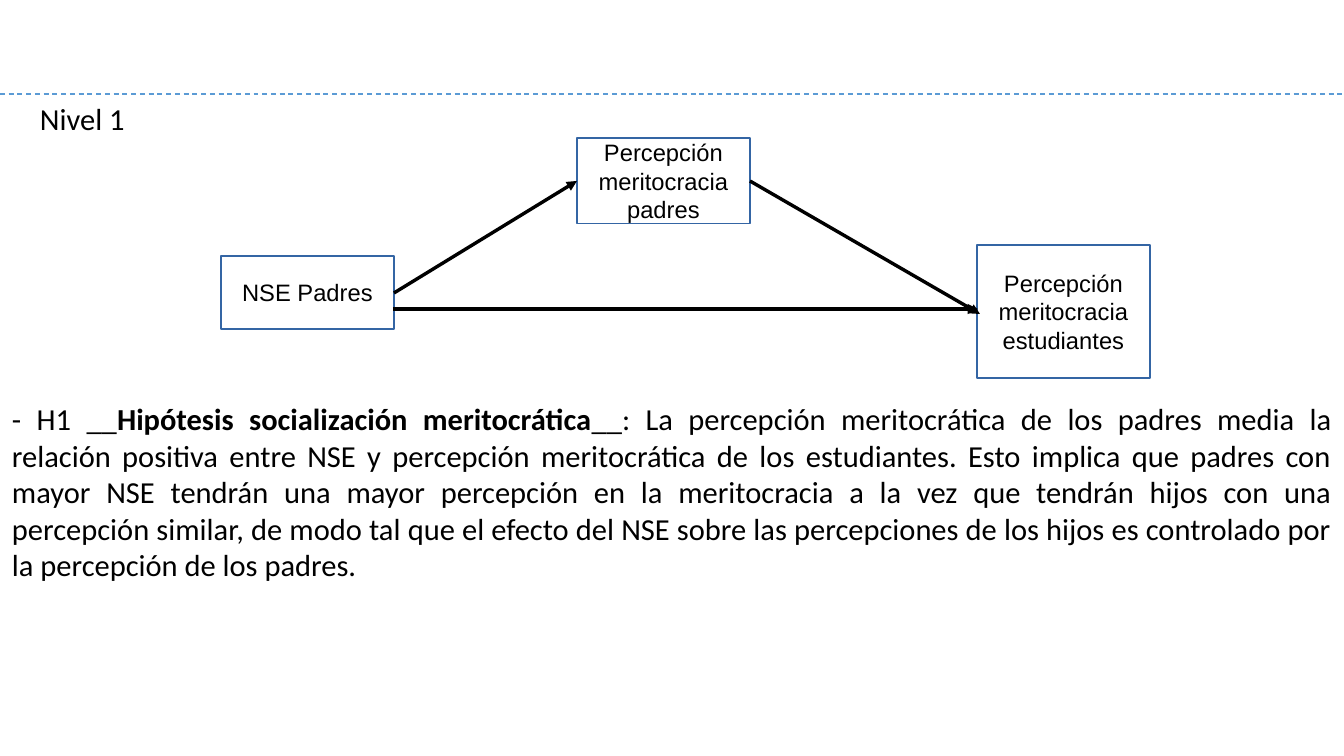
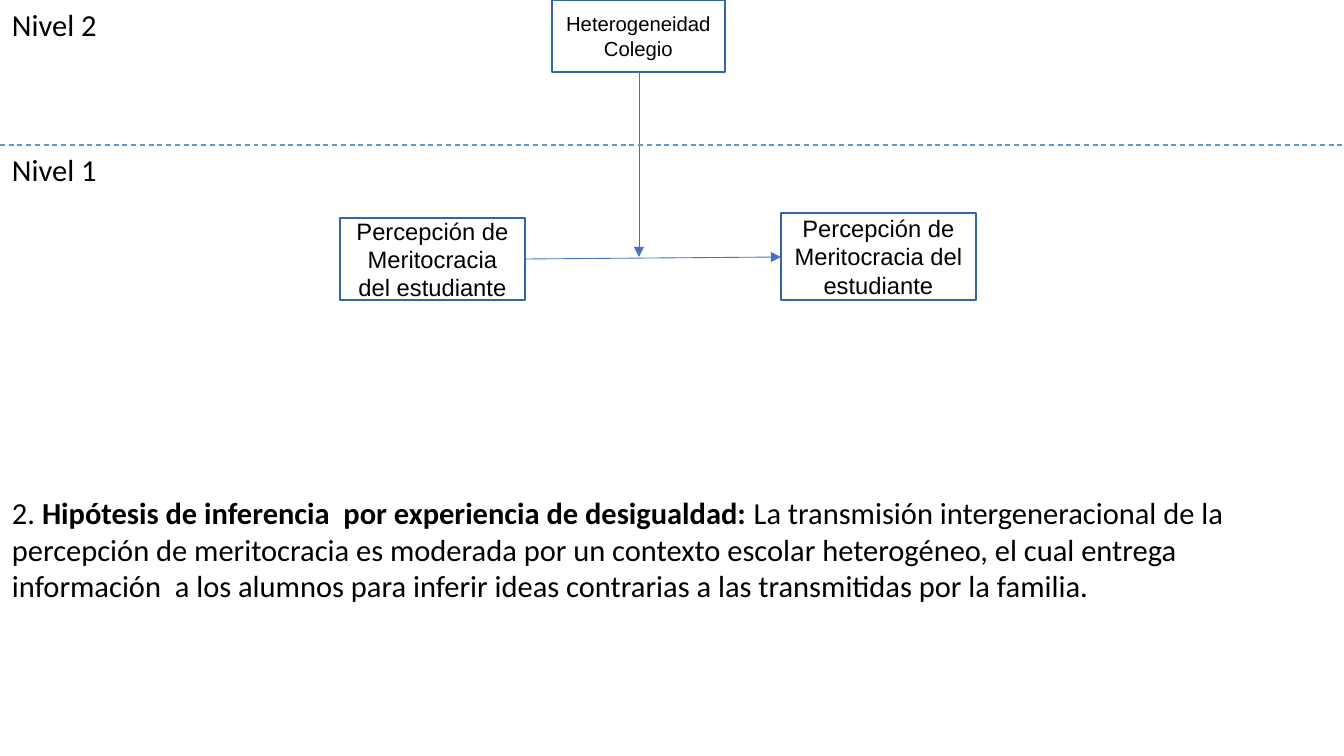
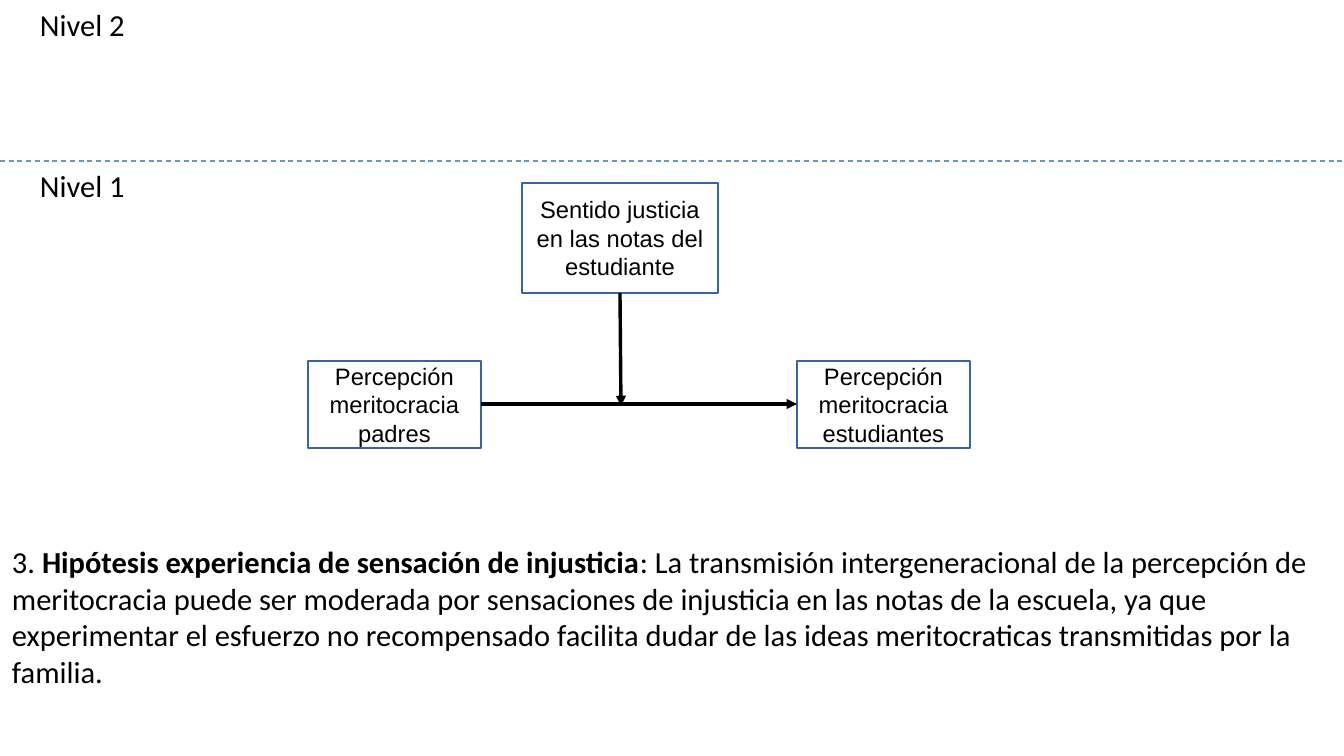
from lxml import etree
from pptx import Presentation
from pptx.dml.color import RGBColor
from pptx.enum.dml import MSO_LINE
from pptx.enum.shapes import MSO_CONNECTOR, MSO_SHAPE
from pptx.enum.text import MSO_ANCHOR, PP_ALIGN
from pptx.oxml.ns import qn
from pptx.util import Emu, Pt

RECTANGLE = MSO_SHAPE.RECTANGLE
STRAIGHT = MSO_CONNECTOR.STRAIGHT
DASH = MSO_LINE.DASH
MIDDLE = MSO_ANCHOR.MIDDLE
LEFT, CENTER, JUSTIFY = PP_ALIGN.LEFT, PP_ALIGN.CENTER, PP_ALIGN.JUSTIFY

PX_PER_INCH = 122
SLIDE_WIDTH, SLIDE_HEIGHT = 1344, 756
BLANK_LAYOUT = 6

BLACK, WHITE = "000000", "FFFFFF"
BOX_LINE, DIVIDER_LINE, ACCENT_LINE = "3465A4", "5B9BD5", "4472C4"
BODY_FONT, BOX_FONT = "Calibri", "Arial"
BODY_SIZE, BOX_SIZE = 18, 14
LABEL_WIDTH, LABEL_HEIGHT = 110, 49


def px(value):
    return Emu(round(value * 914400 / PX_PER_INCH))


def color(value):
    return RGBColor.from_string(value)


def add_run(paragraph, text, font, size, bold=False):
    run = paragraph.add_run()
    run.text = text
    run.font.name = font
    run.font.size = Pt(size)
    run.font.bold = bold
    run.font.color.rgb = color(BLACK)


def add_text(slide, box, runs, alignment=LEFT, wrap=True):
    shape = slide.shapes.add_textbox(*map(px, box))
    shape.text_frame.word_wrap = wrap
    paragraph = shape.text_frame.paragraphs[0]
    paragraph.alignment = alignment
    for text, bold in runs:
        add_run(paragraph, text, BODY_FONT, BODY_SIZE, bold)


def add_line(slide, start, end, line_color, width):
    connector = slide.shapes.add_connector(STRAIGHT, *map(px, start + end))
    connector.line.color.rgb = color(line_color)
    connector.line.width = Pt(width)
    etree.SubElement(connector._element.spPr, qn("a:effectLst"))
    return connector


def add_arrow(slide, start, end, line_color, width):
    connector = add_line(slide, start, end, line_color, width)
    tail = etree.SubElement(connector.line._get_or_add_ln(), qn("a:tailEnd"))
    tail.set("type", "triangle")


def add_variable(slide, box, text, size):
    shape = slide.shapes.add_shape(RECTANGLE, *map(px, box))
    shape.shadow.inherit = False
    shape.fill.solid()
    shape.fill.fore_color.rgb = color(WHITE)
    shape.line.color.rgb = color(BOX_LINE)
    shape.line.width = Pt(0)
    frame = shape.text_frame
    frame.word_wrap = True
    frame.vertical_anchor = MIDDLE
    paragraph = frame.paragraphs[0]
    paragraph.alignment = CENTER
    add_run(paragraph, text, BOX_FONT, size)


def add_levels(slide, divider_top, label_left, labels):
    divider = add_line(slide, (0, divider_top), (SLIDE_WIDTH, divider_top), DIVIDER_LINE, 0.75)
    divider.line.dash_style = DASH
    for text, top in labels:
        box = (label_left, top, LABEL_WIDTH, LABEL_HEIGHT)
        add_text(slide, box, [(text, False)], wrap=False)


def add_diagram(slide, origin, variables, arrows, line_color=BLACK, line_width=0):
    left, top = origin
    for (x, y, width, height), text, size in variables:
        add_variable(slide, (left + x, top + y, width, height), text, size)
    for x1, y1, x2, y2 in arrows:
        start, end = (left + x1, top + y1), (left + x2, top + y2)
        add_arrow(slide, start, end, line_color, line_width)


def add_hypothesis(slide, top, height, prefix, name, statement, alignment=LEFT):
    runs = [(prefix, False), (name, True), (statement, False)]
    add_text(slide, (0, top, SLIDE_WIDTH, height), runs, alignment)


def build_socialization(slide):
    add_hypothesis(
        slide, 394, 198, "- H1 __", "Hipótesis socialización meritocrática",
        "__: La percepción meritocrática de los padres media la relación positiva "
        "entre NSE y percepción meritocrática de los estudiantes. Esto implica que "
        "padres con mayor NSE tendrán una mayor percepción en la meritocracia a la "
        "vez que tendrán hijos con una percepción similar, de modo tal que el efecto "
        "del NSE sobre las percepciones de los hijos es controlado por la percepción "
        "de los padres.", JUSTIFY)
    variables = [
        ((756, 107, 173, 133), "Percepción meritocracia estudiantes", BOX_SIZE),
        ((0, 118, 173, 73), "NSE Padres", BOX_SIZE),
        ((356, 0, 173, 86), "Percepción meritocracia padres", BOX_SIZE),
    ]
    arrows = [(173, 155, 356, 43), (529, 43, 759, 176), (172, 171, 757, 171)]
    add_diagram(slide, (221, 138), variables, arrows)
    add_levels(slide, 94, 28, [("Nivel 1", 94)])


def build_inequality(slide):
    variables = [
        ((0, 218, 185, 82), "Percepción de Meritocracia del estudiante", BOX_SIZE),
        ((441, 213, 195, 87), "Percepción de Meritocracia del estudiante", BOX_SIZE),
        ((212, 0, 173, 72), "Heterogeneidad Colegio", 12),
    ]
    arrows = [(186, 259, 441, 257), (299, 72, 299, 257)]
    add_diagram(slide, (340, 0), variables, arrows, ACCENT_LINE, 0.5)
    add_levels(slide, 145, 0, [("Nivel 1", 145), ("Nivel 2", 0)])
    add_hypothesis(
        slide, 488, 123, "2. ",
        "Hipótesis de inferencia  por experiencia de desigualdad: ",
        "La transmisión intergeneracional de la percepción de meritocracia es "
        "moderada por un contexto escolar heterogéneo, el cual entrega información  "
        "a los alumnos para inferir ideas contrarias a las transmitidas por la "
        "familia.")


def build_injustice(slide):
    variables = [
        ((214, 0, 196, 110), "Sentido justicia en las notas del estudiante", BOX_SIZE),
        ((489, 178, 173, 87), "Percepción meritocracia estudiantes", BOX_SIZE),
        ((0, 178, 173, 87), "Percepción meritocracia padres", BOX_SIZE),
    ]
    arrows = [(312, 110, 313, 223), (173, 221, 489, 221)]
    add_diagram(slide, (308, 183), variables, arrows)
    add_levels(slide, 161, 28, [("Nivel 1", 161), ("Nivel 2", 0)])
    add_hypothesis(
        slide, 537, 160, "3. ", "Hipótesis experiencia de sensación de injusticia",
        ": La transmisión intergeneracional de la percepción de meritocracia puede "
        "ser moderada por sensaciones de injusticia en las notas de la escuela, ya "
        "que experimentar el esfuerzo no recompensado facilita dudar de las ideas "
        "meritocraticas transmitidas por la familia.")


def main():
    presentation = Presentation()
    presentation.slide_width = px(SLIDE_WIDTH)
    presentation.slide_height = px(SLIDE_HEIGHT)
    layout = presentation.slide_layouts[BLANK_LAYOUT]
    for build in (build_socialization, build_inequality, build_injustice):
        build(presentation.slides.add_slide(layout))
    presentation.save("out.pptx")


if __name__ == "__main__":
    main()
